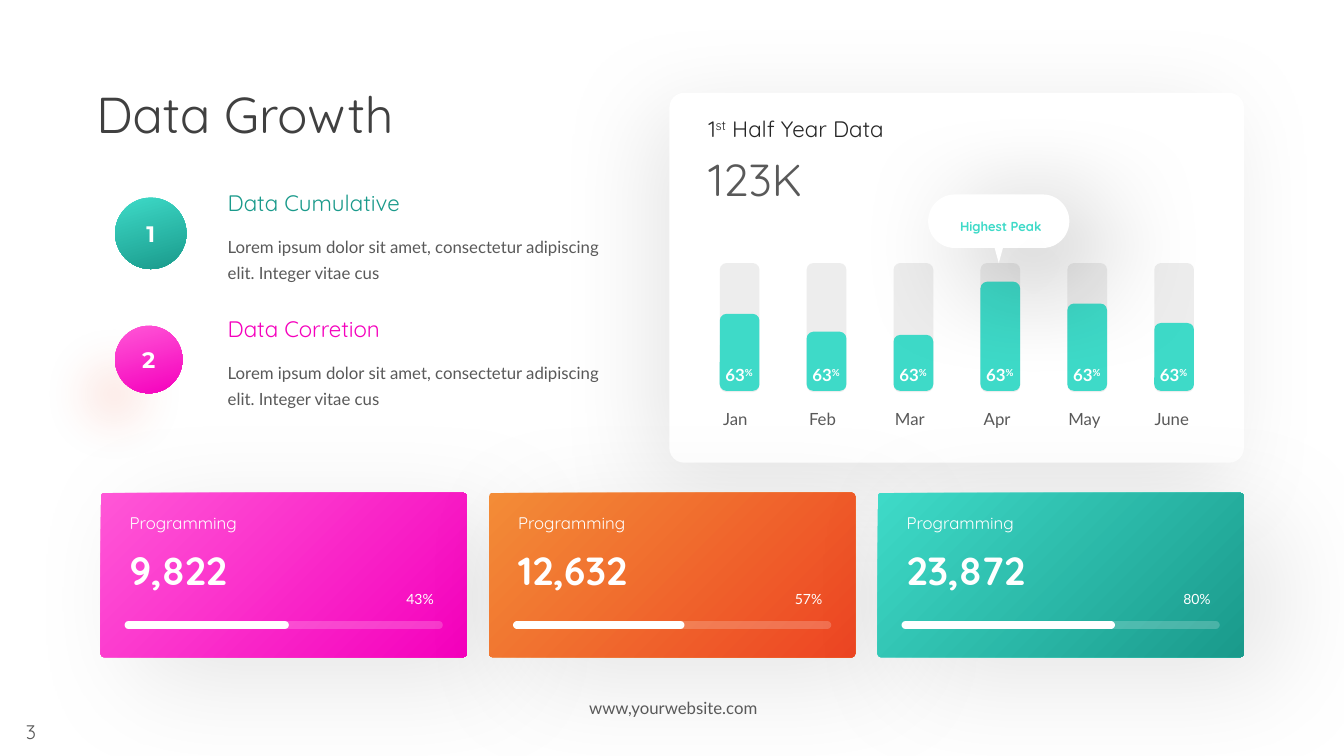
"""Builds the Data Growth dashboard slide."""
from dataclasses import dataclass

from lxml import etree
from pptx import Presentation
from pptx.dml.color import RGBColor
from pptx.enum.shapes import MSO_SHAPE
from pptx.enum.text import MSO_ANCHOR, PP_ALIGN
from pptx.oxml.ns import qn
from pptx.util import Cm, Pt

ROUND, OVAL, TRIANGLE = MSO_SHAPE.ROUNDED_RECTANGLE, MSO_SHAPE.OVAL, MSO_SHAPE.ISOSCELES_TRIANGLE
LEFT, CENTER, RIGHT = PP_ALIGN.LEFT, PP_ALIGN.CENTER, PP_ALIGN.RIGHT
TOP, MIDDLE, BOTTOM = MSO_ANCHOR.TOP, MSO_ANCHOR.MIDDLE, MSO_ANCHOR.BOTTOM


@dataclass(frozen=True)
class Theme:
    """Colours, fonts, type sizes and shadows."""
    white: str = "FFFFFF"
    ink: str = "262626"
    title: str = "404040"
    body: str = "595959"
    track: str = "A6A6A6"
    teal: tuple = ("3EDAC8", "1A9A8B")
    pink: tuple = ("FF57D7", "F500BD")
    orange: tuple = ("F38C37", "ED4523")
    display: str = "Quicksand"
    text: str = "Lato"
    badge: str = "Montserrat"
    tiny: int = 10
    small: int = 12
    page: int = 14
    medium: int = 16
    large: int = 28
    big: int = 32
    huge: int = 36
    panel_shadow: tuple = ("000000", 9, 70, 18, 135)
    badge_shadow: tuple = ("ED4523", 10, 30, 35, 135)
    card_shadow: tuple = ("000000", 10, 80, 30, 35)
    callout_shadow: tuple = ("000000", 32, 80, 30, 35)


THEME = Theme()
LOREM = "Lorem ipsum dolor sit amet, consectetur adipiscing elit. Integer vitae cus"
ITEMS = [
    ("1", "Data Cumulative", THEME.teal, 1.8, None),
    ("2", "Data Corretion", THEME.pink, 1.7, THEME.badge_shadow),
]
MONTHS = [("Jan", 1.94), ("Feb", 1.49), ("Mar", 1.41), ("Apr", 2.75), ("May", 2.2), ("June", 1.71)]
SHARE = "63"
CARDS = [
    ("9,822", "43%", 4.14, THEME.pink),
    ("12,632", "57%", 4.32, THEME.orange),
    ("23,872", "80%", 5.38, THEME.teal),
]


def add_span(para, text, size, font, color, bold=False, baseline=0):
    span = para.add_run()
    span.text = text
    span.font.size, span.font.name, span.font.bold = Pt(size), font, bold
    span.font.color.rgb = RGBColor.from_string(color)
    if baseline:
        span.font._element.set("baseline", str(baseline * 1000))


def add_text(page, area, spans, align=LEFT, anchor=TOP, spacing=1.0, before=0, after=0, insets=None):
    box = page.shapes.add_textbox(*map(Cm, area))
    frame = box.text_frame
    frame.word_wrap, frame.vertical_anchor = True, anchor
    if insets:
        frame.margin_left, frame.margin_top, frame.margin_right, frame.margin_bottom = map(Cm, insets)
    para = frame.paragraphs[0]
    para.alignment, para.line_spacing = align, spacing
    para.space_before, para.space_after = Pt(before), Pt(after)
    for span in spans:
        add_span(para, *span)


def add_color(parent, color, alpha):
    node = etree.SubElement(parent, qn("a:srgbClr"), val=color)
    etree.SubElement(node, qn("a:alpha"), val=str(alpha * 1000))


def add_form(page, kind, area, fill, angle=45, alpha=100, radius=None, shadow=None):
    form = page.shapes.add_shape(kind, *map(Cm, area))
    form.shadow.inherit = False
    form.line.fill.background()
    if radius is not None:
        form.adjustments[0] = radius
    properties = form._element.spPr
    if isinstance(fill, tuple):
        form.fill.gradient()
        form.fill.gradient_angle = 360 - angle
        for stop, color in zip(form.fill.gradient_stops, fill):
            stop.color.rgb = RGBColor.from_string(color)
    else:
        form.fill.solid()
        form.fill.fore_color.rgb = RGBColor.from_string(fill)
        if alpha < 100:
            solid = properties.find(qn("a:solidFill"))
            solid.remove(solid[0])
            add_color(solid, fill, alpha)
    if shadow:
        color, strength, blur, distance, direction = shadow
        outer = etree.SubElement(
            properties.find(qn("a:effectLst")), qn("a:outerShdw"), blurRad=str(Pt(blur)),
            dist=str(Pt(distance)), dir=str(direction * 60000), algn="ctr", rotWithShape="0")
        add_color(outer, color, strength)
    return form


def draw_items(page):
    for index, (number, heading, colors, size, shadow) in enumerate(ITEMS):
        top = 4.72 + 3.18 * index
        badge = add_form(page, OVAL, (2.9, top + 1.16 - size / 2, size, size), colors, 74, shadow=shadow)
        badge.text_frame.vertical_anchor = MIDDLE
        para = badge.text_frame.paragraphs[0]
        para.alignment = CENTER
        add_span(para, number, THEME.medium, THEME.badge, THEME.white, True)
        add_text(page, (5.49, top, 6.4, 0.84), [(heading, THEME.medium, THEME.display, colors[1])],
                 anchor=MIDDLE, spacing=0.9)
        add_text(page, (5.49, top + 0.97, 10.05, 1.52), [(LOREM, THEME.small, THEME.text, THEME.body)],
                 spacing=1.3)


def draw_chart(page):
    pitch, bottom = 2.19, 9.85
    teal = THEME.teal[0]
    add_form(page, ROUND, (16.87, 2.34, 14.48, 9.32), THEME.white, radius=0.04, shadow=THEME.panel_shadow)
    heading = (THEME.medium, THEME.display, THEME.ink)
    add_text(page, (17.6, 2.57, 12.2, 1.07),
             [("1", *heading), ("st", *heading, False, 30), (" Half Year Data", *heading)],
             spacing=1.3, after=6)
    add_text(page, (17.6, 3.28, 12.2, 1.65), [("123K", THEME.big, THEME.display, THEME.body)],
             spacing=1.3, after=6)
    for index, (month, height) in enumerate(MONTHS):
        left = 18.14 + pitch * index
        add_form(page, ROUND, (left, 6.63, 1, 3.25), THEME.track, alpha=20)
        add_form(page, ROUND, (left, bottom - height, 1, height), teal)
        add_text(page, (17.15 + 2.2 * index, 10.03, 2.76, 0.84),
                 [(month, THEME.small, THEME.text, THEME.body)], CENTER, spacing=1.3, after=6)
    add_form(page, ROUND, (23.39, 4.9, 3.56, 1.35), THEME.white, radius=0.5, shadow=THEME.callout_shadow)
    pointer = add_form(page, TRIANGLE, (24.94, 5.79, 0.46, 0.84), THEME.white, shadow=THEME.card_shadow)
    pointer.rotation = 180
    add_text(page, (23.34, 5.11, 3.66, 0.97),
             [("Highest Peak", THEME.medium, THEME.display, teal, True, 2)],
             CENTER, MIDDLE, 1.2, before=3, insets=(0.51, 0, 0.41, 0.1))
    label = (THEME.small, THEME.text, THEME.white, True)
    for index in range(len(MONTHS)):
        add_text(page, (17.78 + pitch * index, 8.92, 1.7, 0.86),
                 [(SHARE, *label), ("%", *label, 29)], CENTER, spacing=1.3)


def draw_cards(page):
    for index, (value, share, progress, colors) in enumerate(CARDS):
        left = 2.54 + 9.79 * index
        add_form(page, ROUND, (left, 12.42, 9.22, 4.14), colors, radius=0.02, shadow=THEME.card_shadow)
        add_text(page, (left + 0.48, 12.65, 4.04, 0.86),
                 [("Programming", THEME.small, THEME.display, THEME.white)], spacing=1.3, after=6)
        add_text(page, (left + 0.48, 13.28, 4.9, 1.68),
                 [(value, THEME.large, THEME.display, THEME.white, True)], spacing=1.3, after=6)
        add_form(page, ROUND, (left + 1, 15.65, 7.62, 0.2), THEME.white, alpha=20, radius=0.5)
        add_form(page, ROUND, (left + 0.6, 15.65, progress, 0.2), THEME.white, radius=0.5)
        add_text(page, (left + 7.24, 14.68, 1.4, 0.76),
                 [(share, THEME.tiny, THEME.text, THEME.white)], RIGHT, BOTTOM, 1.3, after=6)


def main():
    deck = Presentation()
    deck.slide_width, deck.slide_height = Cm(33.87), Cm(19.05)
    page = deck.slides.add_slide(deck.slide_layouts[6])
    add_text(page, (0, 18.01, 1.57, 0.86), [("3", THEME.page, THEME.display, THEME.body)], CENTER)
    add_text(page, (2.18, 1.98, 9.6, 1.8), [("Data Growth", THEME.huge, THEME.display, THEME.title)])
    draw_chart(page)
    draw_items(page)
    draw_cards(page)
    add_text(page, (13.87, 17.45, 6.2, 0.76),
             [("www,yourwebsite.com", THEME.small, THEME.text, THEME.body)], CENTER)
    deck.save("out.pptx")


if __name__ == "__main__":
    main()
